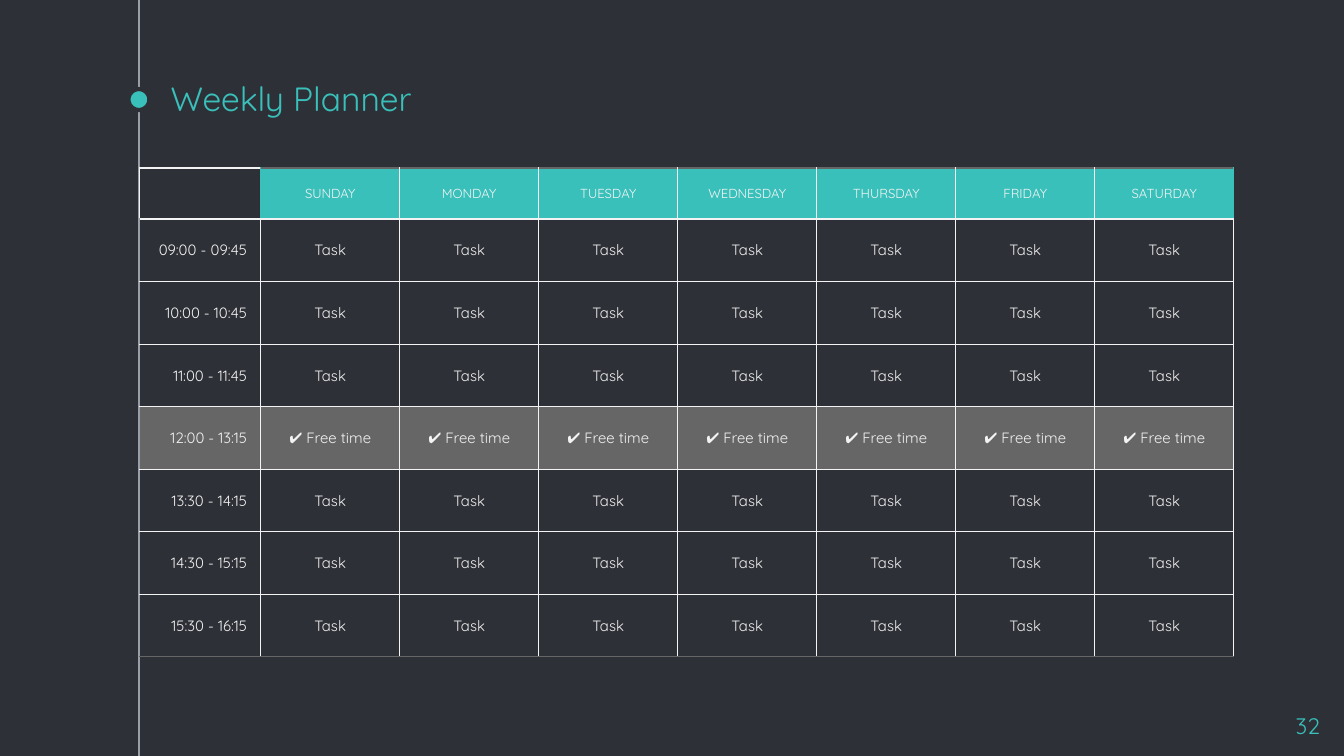
from lxml import etree
from pptx import Presentation
from pptx.dml.color import RGBColor
from pptx.enum import shapes, text
from pptx.oxml.ns import qn
from pptx.util import Inches, Pt

TEAL = RGBColor(0x39, 0xC0, 0xBA)
NIGHT = RGBColor(0x2E, 0x30, 0x37)
PALE = RGBColor(0xF3, 0xF3, 0xF3)
SLATE = RGBColor(0x99, 0x9F, 0xA9)
GREY = RGBColor(0x66, 0x66, 0x66)

COLUMNS, ROWS = 100, 56.25
DAYS = ["SUNDAY", "MONDAY", "TUESDAY", "WEDNESDAY", "THURSDAY", "FRIDAY", "SATURDAY"]
HOURS = ["09:00 - 09:45", "10:00 - 10:45", "11:00 - 11:45", "12:00 - 13:15",
         "13:30 - 14:15", "14:30 - 15:15", "15:30 - 16:15"]
BREAK = "12:00 - 13:15"


class Planner:
    """Draws elements on one slide, placed on a grid of 100 columns by 56.25 rows."""

    font = "Quicksand"
    cell_size = Inches(0.1)

    def __init__(self, deck):
        self.page = deck.slides.add_slide(deck.slide_layouts[6])
        fill = self.page.background.fill
        fill.solid()
        fill.fore_color.rgb = NIGHT

    def grid(self, *places):
        return [round(place * self.cell_size) for place in places]

    def words(self, frame, content, size, color, align):
        para = frame.paragraphs[0]
        para.alignment = align
        if not content:
            etree.SubElement(para._p, qn("a:endParaRPr"), sz=str(size * 100))
            return
        span = para.add_run()
        span.text = content
        for name, value in {"name": self.font, "size": Pt(size)}.items():
            setattr(span.font, name, value)
        span.font.color.rgb = color

    def label(self, place, content, size, align, **layout):
        frame = self.page.shapes.add_textbox(*self.grid(*place)).text_frame
        for name, value in {"word_wrap": True, **layout}.items():
            setattr(frame, name, value)
        self.words(frame, content, size, TEAL, align)

    def line(self, start, end, color, width):
        rule = self.page.shapes.add_connector(
            shapes.MSO_CONNECTOR.STRAIGHT, *self.grid(*start, *end))
        rule.line.color.rgb = color
        rule.line.width = Pt(width)
        etree.SubElement(rule._element.spPr, qn("a:effectLst"))

    def dot(self, place, color, edge, width):
        box = self.page.shapes.add_shape(shapes.MSO_SHAPE.OVAL, *self.grid(*place))
        box.shadow.inherit = False
        box.fill.solid()
        box.fill.fore_color.rgb = color
        box.line.color.rgb = edge
        box.line.width = Pt(width)

    def borders(self, cell, colors):
        props = cell._tc.get_or_add_tcPr()
        for index, (side, color) in enumerate(colors.items()):
            edge = etree.Element(qn(f"a:ln{side}"), w=str(Pt(0.75)))
            fill = etree.SubElement(edge, qn("a:solidFill"))
            etree.SubElement(fill, qn("a:srgbClr"), val=str(color))
            props.insert(index, edge)

    def cell(self, cell, content, size, align, fill, colors):
        cell.vertical_anchor = text.MSO_ANCHOR.MIDDLE
        self.words(cell.text_frame, content, size, PALE, align)
        if fill is None:
            cell.fill.background()
        else:
            cell.fill.solid()
            cell.fill.fore_color.rgb = fill
        self.borders(cell, colors)

    def table(self, place, content, first_column, first_row):
        width, height = place[2:]
        last_row, last_column = len(content) - 1, len(content[0]) - 1
        table = self.page.shapes.add_table(
            last_row + 1, last_column + 1, *self.grid(*place)).table
        table.first_row = table.horz_banding = False
        for index, column in enumerate(table.columns):
            share = (width - first_column) / last_column if index else first_column
            column.width = self.grid(share)[0]
        for index, row in enumerate(table.rows):
            share = (height - first_row) / last_row if index else first_row
            row.height = self.grid(share)[0]

        for r, entries in enumerate(content):
            for c, entry in enumerate(entries):
                colors = dict.fromkeys("LRTB", PALE)
                fill = GREY if entries[0] == BREAK else None
                if r == 0:
                    fill = TEAL if c else None
                    colors["T"] = GREY if c else PALE
                    colors["L"] = TEAL if c == 1 else PALE
                    colors["R"] = TEAL if c in (0, last_column) else PALE
                elif c == 0:
                    colors["L"] = SLATE
                if r == last_row:
                    colors["B"] = GREY
                align = text.PP_ALIGN.CENTER if c else text.PP_ALIGN.RIGHT
                self.cell(table.cell(r, c), entry, 8 if r else 7, align, fill, colors)


def main():
    deck = Presentation()
    deck.slide_width = COLUMNS * Planner.cell_size
    deck.slide_height = round(ROWS * Planner.cell_size)
    planner = Planner(deck)

    planner.line((10.34, 0), (10.34, ROWS), SLATE, 0.75)
    planner.dot((9.56, 6.63, 1.56, 1.56), TEAL, NIGHT, 2.25)
    planner.label((12.7, 6, 75, 3.8), "Weekly Planner", 18, text.PP_ALIGN.LEFT,
                  vertical_anchor=text.MSO_ANCHOR.BOTTOM, margin_left=0, margin_right=0,
                  margin_top=Inches(0.1), margin_bottom=Inches(0.1))
    planner.label((93.2, 52, 6, 3.4), "32", 12, text.PP_ALIGN.RIGHT,
                  margin_top=Inches(0.1), margin_bottom=Inches(0.1))

    content = [["", *DAYS]]
    for hour in HOURS:
        task = "✔ Free time" if hour == BREAK else "Task"
        content.append([hour, *[task] * len(DAYS)])
    planner.table((10.4, 12.5, 81.4, 36.4), content, 9, 3.8)

    deck.save("out.pptx")


if __name__ == "__main__":
    main()
